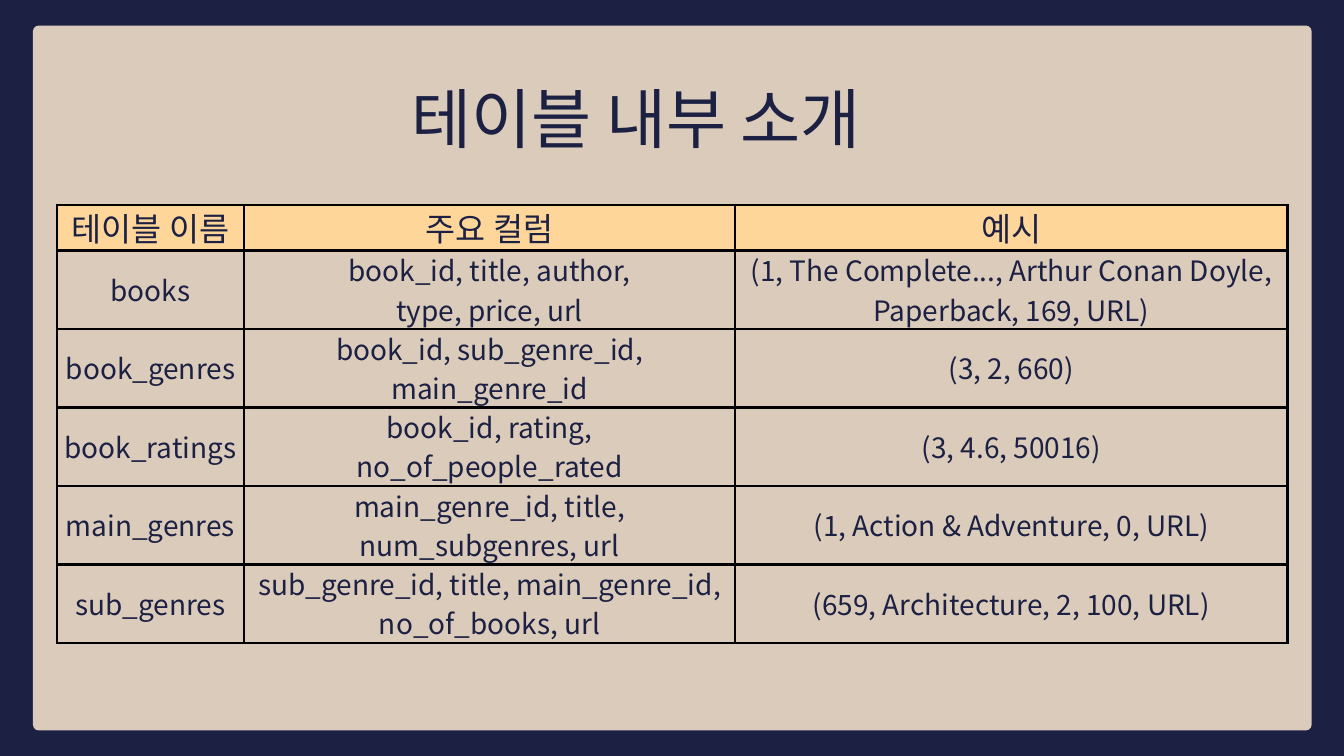
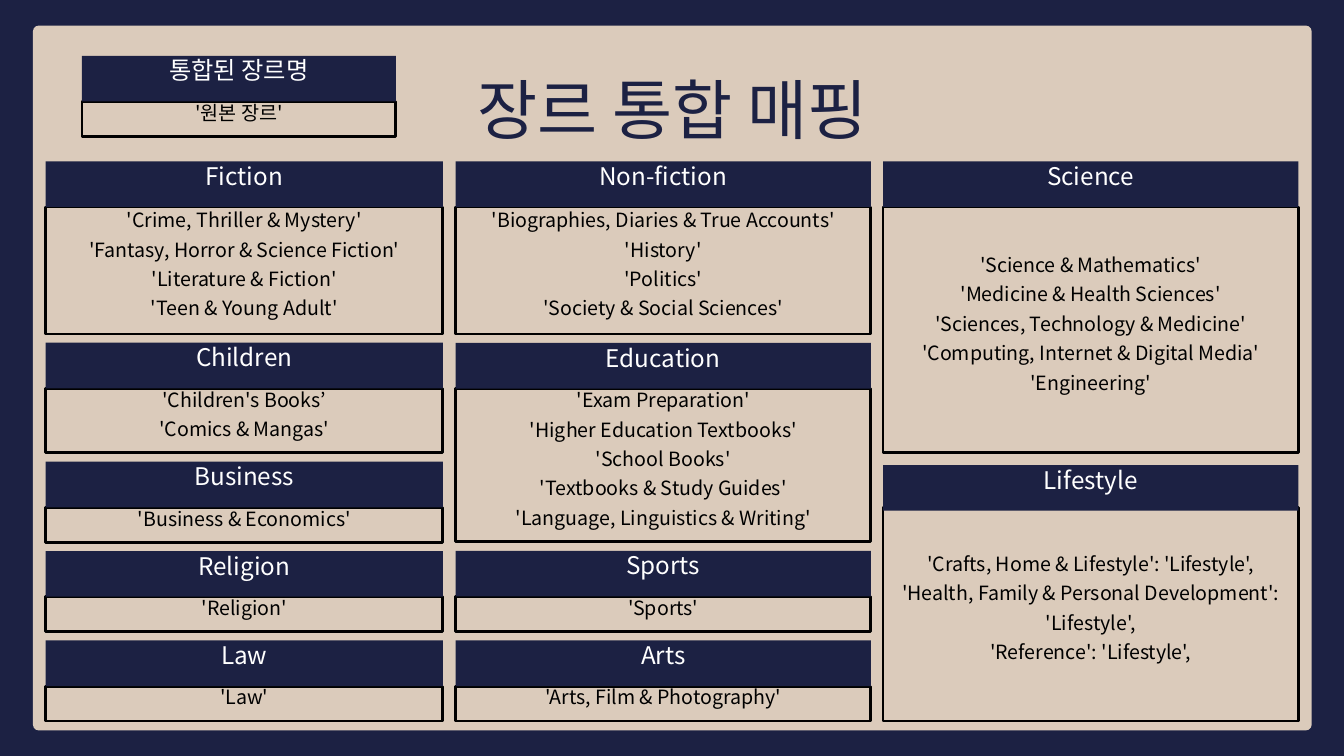
from lxml.etree import SubElement
from pptx import Presentation
from pptx.dml.color import RGBColor
from pptx.enum.shapes import MSO_SHAPE
from pptx.enum.text import MSO_ANCHOR, MSO_AUTO_SIZE, PP_ALIGN
from pptx.oxml.ns import qn
from pptx.util import Inches, Pt

FONT = "Noto Sans CJK KR"
NAVY = RGBColor(0x1C, 0x21, 0x43)
SAND = RGBColor(0xDB, 0xCB, 0xBB)
AMBER = RGBColor(0xFF, 0xD6, 0x99)
BLACK = RGBColor(0, 0, 0)
WHITE = RGBColor(0xFF, 0xFF, 0xFF)

TABLE_HEADINGS = ["테이블 이름", "주요 컬럼", "예시"]
TABLE_ROWS = [
    ["books", "book_id, title, author,\ntype, price, url",
     "(1, The Complete..., Arthur Conan Doyle,\nPaperback, 169, URL)"],
    ["book_genres", "book_id, sub_genre_id,\nmain_genre_id", "(3, 2, 660)"],
    ["book_ratings", "book_id, rating,\nno_of_people_rated", "(3, 4.6, 50016)"],
    ["main_genres", "main_genre_id, title,\nnum_subgenres, url",
     "(1, Action & Adventure, 0, URL)"],
    ["sub_genres", "sub_genre_id, title, main_genre_id,\nno_of_books, url",
     "(659, Architecture, 2, 100, URL)"],
]
COLUMN_WIDTHS = [2.78, 7.31, 8.22]
HEADING_HEIGHT, ROW_HEIGHT = 0.64, 1.14

LEGEND = ("통합된 장르명", "'원본 장르'", 0.52)
GENRE_COLUMNS = [
    (0.68, 5.91, [
        ("Fiction", "'Crime, Thriller & Mystery'\n'Fantasy, Horror & Science Fiction'\n"
                    "'Literature & Fiction'\n'Teen & Young Adult'", 1.89),
        ("Children", "'Children's Books’\n'Comics & Mangas'", 0.96),
        ("Business", "'Business & Economics'", 0.52),
        ("Religion", "'Religion'", 0.52),
        ("Law", "'Law'", 0.52),
    ]),
    (6.78, 6.18, [
        ("Non-fiction", "'Biographies, Diaries & True Accounts'\n'History'\n'Politics'\n"
                        "'Society & Social Sciences'", 1.89),
        ("Education", "'Exam Preparation'\n'Higher Education Textbooks'\n'School Books'\n"
                      "'Textbooks & Study Guides'\n'Language, Linguistics & Writing'", 2.28),
        ("Sports", "'Sports'", 0.52),
        ("Arts", "'Arts, Film & Photography'", 0.52),
    ]),
    (13.14, 6.18, [
        ("Science", "'Science & Mathematics'\n'Medicine & Health Sciences'\n"
                    "'Sciences, Technology & Medicine'\n"
                    "'Computing, Internet & Digital Media'\n'Engineering'", 3.66),
        ("Lifestyle", "'Crafts, Home & Lifestyle': 'Lifestyle',\n"
                      "'Health, Family & Personal Development': 'Lifestyle',\n"
                      "'Reference': 'Lifestyle',", 3.18, 0.05),
    ]),
]
GENRES_TOP, GENRES_BOTTOM = 2.4, 10.73
BAR_HEIGHT = 0.68
BAR_TEXT_RISE, LIST_TEXT_RISE = 0.36, 0.28


def write_text(frame, text, *, size, color, leading=1.4, align=PP_ALIGN.CENTER):
    for index, line in enumerate(text.split("\n")):
        paragraph = frame.add_paragraph() if index else frame.paragraphs[0]
        paragraph.alignment = align
        paragraph.line_spacing = Pt(size * leading)
        run = paragraph.add_run()
        run.text = line
        run.font.size = Pt(size)
        run.font.color.rgb = color
        run.font.name = FONT
        SubElement(run.font._element, qn("a:ea"), typeface=FONT)


def set_frame(frame, anchor, inset):
    frame.word_wrap = True
    frame.auto_size = MSO_AUTO_SIZE.NONE
    frame.vertical_anchor = anchor
    frame.margin_left = frame.margin_right = Inches(inset)
    frame.margin_top = frame.margin_bottom = Inches(inset)


def add_block(slide, kind, left, top, width, height, fill=None, outline=None):
    block = slide.shapes.add_shape(kind, *map(Inches, (left, top, width, height)))
    block.shadow.inherit = False
    if fill is None:
        block.fill.background()
    else:
        block.fill.solid()
        block.fill.fore_color.rgb = fill
    if outline is None:
        block.line.fill.background()
    else:
        block.line.color.rgb = outline
        block.line.width = Pt(3)
    return block


def add_label(slide, text, left, top, width, height, **text_format):
    label = slide.shapes.add_textbox(*map(Inches, (left, top, width, height)))
    set_frame(label.text_frame, MSO_ANCHOR.MIDDLE, 0.06)
    write_text(label.text_frame, text, leading=1.5, **text_format)


def add_page(deck, heading, left, top, width, align):
    slide = deck.slides.add_slide(deck.slide_layouts[5])
    slide.background.fill.solid()
    slide.background.fill.fore_color.rgb = NAVY
    panel = add_block(slide, MSO_SHAPE.ROUNDED_RECTANGLE, 0.49, 0.38, 19.03, 10.49, fill=SAND)
    panel.adjustments[0] = 0.0085
    title = slide.shapes.title
    title.left, title.top, title.width, title.height = map(Inches, (left, top, width, 1.32))
    slide.shapes._spTree.append(title._element)
    set_frame(title.text_frame, MSO_ANCHOR.TOP, 0)
    write_text(title.text_frame, heading, size=70, color=NAVY, align=align)
    return slide


def set_borders(cell):
    properties = cell._tc.get_or_add_tcPr()
    for side in ("a:lnL", "a:lnR", "a:lnT", "a:lnB"):
        border = SubElement(properties, qn(side), w=str(Pt(3)))
        paint = SubElement(border, qn("a:solidFill"))
        SubElement(paint, qn("a:srgbClr"), val=str(BLACK))


def add_schema_table(slide):
    rows = [TABLE_HEADINGS] + TABLE_ROWS
    height = HEADING_HEIGHT + ROW_HEIGHT * len(TABLE_ROWS)
    schema = slide.shapes.add_table(
        len(rows), len(COLUMN_WIDTHS), Inches(0.85), Inches(3.05),
        Inches(sum(COLUMN_WIDTHS)), Inches(height)).table
    schema.first_row = schema.horz_banding = False
    for column, width in zip(schema.columns, COLUMN_WIDTHS):
        column.width = Inches(width)
    for row_index, texts in enumerate(rows):
        is_heading = row_index == 0
        schema.rows[row_index].height = Inches(HEADING_HEIGHT if is_heading else ROW_HEIGHT)
        for column_index, text in enumerate(texts):
            cell = schema.cell(row_index, column_index)
            cell.margin_left = cell.margin_right = cell.margin_top = cell.margin_bottom = 0
            cell.vertical_anchor = MSO_ANCHOR.MIDDLE
            set_borders(cell)
            if is_heading:
                cell.fill.solid()
                cell.fill.fore_color.rgb = AMBER
            else:
                cell.fill.background()
            write_text(cell.text_frame, text, size=35 if is_heading else 30, color=NAVY)


def add_genre_card(slide, left, top, width, name, sources, height, bar_drop=0):
    list_top = top + BAR_HEIGHT
    bar_top = top + bar_drop
    add_block(slide, MSO_SHAPE.RECTANGLE, left, list_top, width, height, outline=BLACK)
    add_label(slide, sources, left, list_top - LIST_TEXT_RISE, width,
              height + LIST_TEXT_RISE, size=21, color=BLACK)
    add_block(slide, MSO_SHAPE.RECTANGLE, left, bar_top, width, BAR_HEIGHT, fill=NAVY)
    add_label(slide, name, left, bar_top - BAR_TEXT_RISE, width,
              BAR_HEIGHT + BAR_TEXT_RISE, size=26, color=WHITE)


def add_genre_columns(slide):
    for left, width, cards in GENRE_COLUMNS:
        used = sum(BAR_HEIGHT + card[2] for card in cards)
        gap = (GENRES_BOTTOM - GENRES_TOP - used) / (len(cards) - 1)
        top = GENRES_TOP
        for card in cards:
            add_genre_card(slide, left, top, width, *card)
            top += BAR_HEIGHT + card[2] + gap


def main():
    deck = Presentation()
    deck.slide_width, deck.slide_height = Inches(20), Inches(11.25)

    tables_page = add_page(deck, "테이블 내부 소개", 6.12, 0.97, 7.76, PP_ALIGN.LEFT)
    add_schema_table(tables_page)

    genres_page = add_page(deck, "장르 통합 매핑", 5.9, 0.84, 8.21, PP_ALIGN.CENTER)
    add_genre_columns(genres_page)
    add_genre_card(genres_page, 1.22, 0.83, 4.67, *LEGEND)

    deck.save("out.pptx")


if __name__ == "__main__":
    main()
